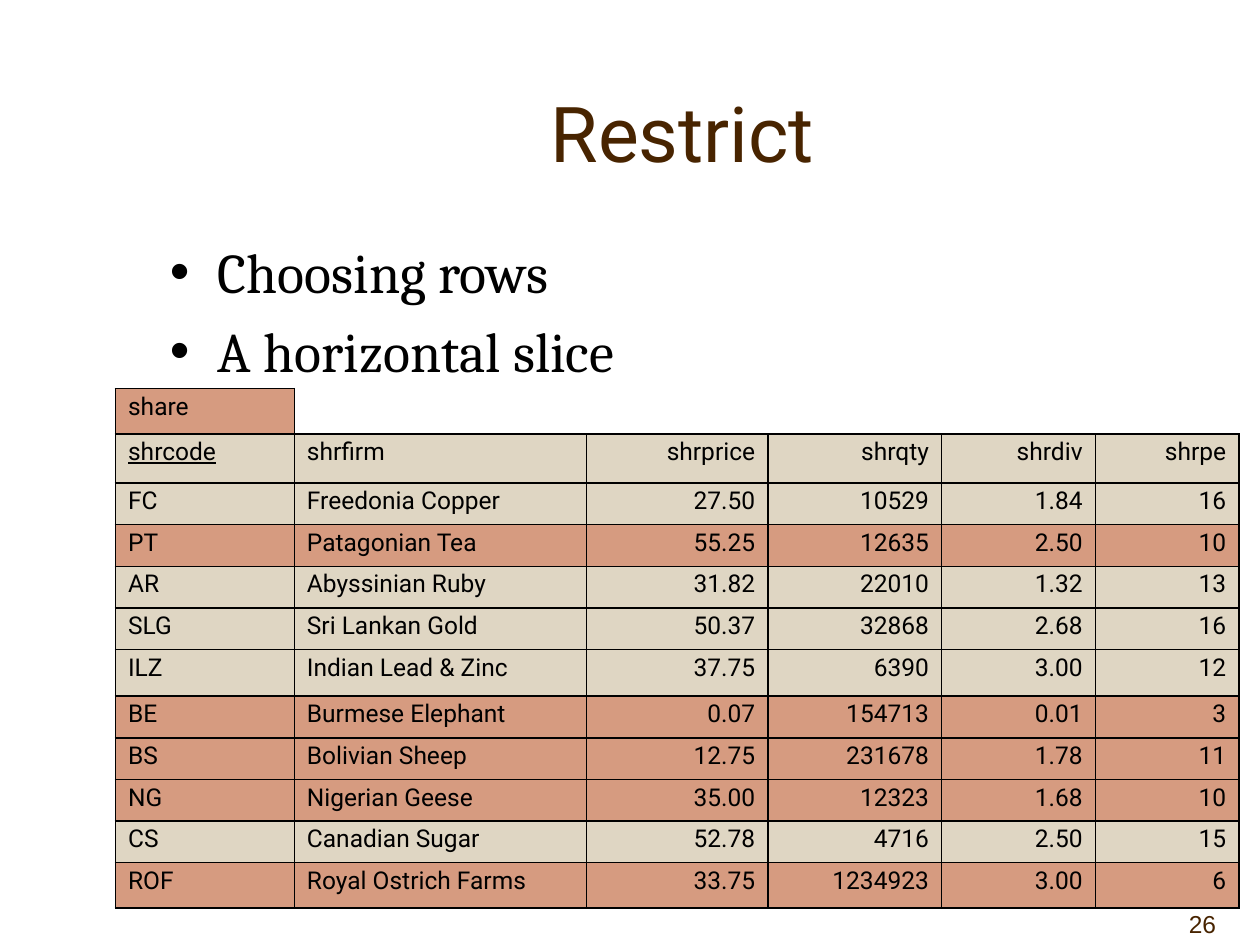
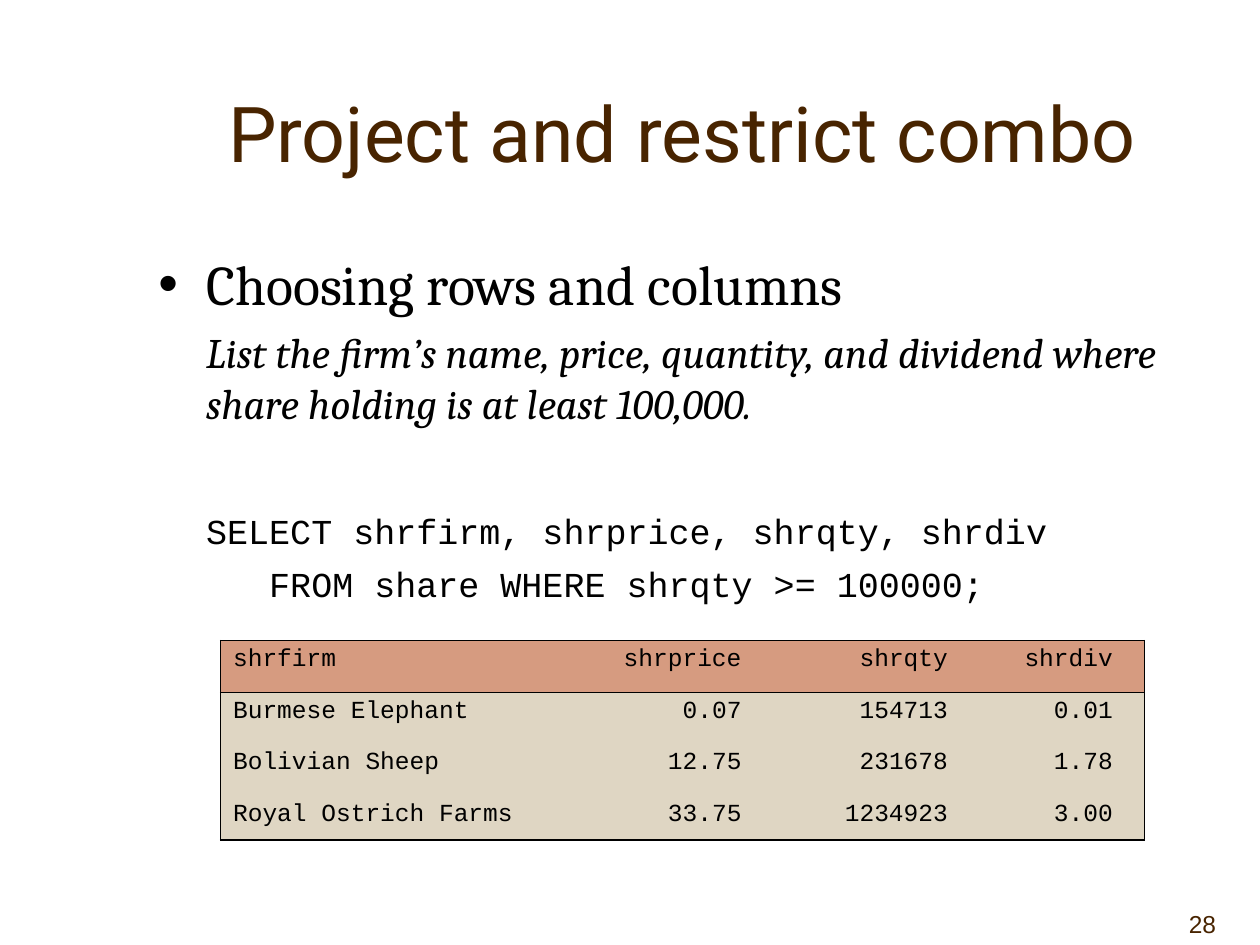
import dataclasses
import lxml.etree
import pptx
import pptx.dml.color
import pptx.enum.text
import pptx.oxml.ns
import pptx.util

ALIGN = pptx.enum.text.PP_ALIGN
ANCHOR = pptx.enum.text.MSO_ANCHOR
CELL = pptx.util.Inches(1 / 12)
GRID_COLUMNS, GRID_ROWS = 120, 90
BROWN, BLACK, CLAY, SAND = "482400", "000000", "D69B80", "DFD6C3"
HEADING_FONT, BODY_FONT, CODE_FONT, NUMBER_FONT = "Roboto", "Cambria", "Courier New", "Arial"
HANGING = pptx.util.Inches(0.38)
SIDES = {"left": "a:lnL", "right": "a:lnR", "top": "a:lnT", "bottom": "a:lnB"}

FIELDS = ["shrcode", "shrfirm", "shrprice", "shrqty", "shrdiv", "shrpe"]
SHARES = [
    ["FC", "Freedonia Copper", "27.50", "10529", "1.84", "16"],
    ["PT", "Patagonian Tea", "55.25", "12635", "2.50", "10"],
    ["AR", "Abyssinian Ruby", "31.82", "22010", "1.32", "13"],
    ["SLG", "Sri Lankan Gold", "50.37", "32868", "2.68", "16"],
    ["ILZ", "Indian Lead & Zinc", "37.75", "6390", "3.00", "12"],
    ["BE", "Burmese Elephant", "0.07", "154713", "0.01", "3"],
    ["BS", "Bolivian Sheep", "12.75", "231678", "1.78", "11"],
    ["NG", "Nigerian Geese", "35.00", "12323", "1.68", "10"],
    ["CS", "Canadian Sugar", "52.78", "4716", "2.50", "15"],
    ["ROF", "Royal Ostrich Farms", "33.75", "1234923", "3.00", "6"],
]


@dataclasses.dataclass
class Box:
    left: float
    top: float
    width: float
    height: float

    def lengths(self):
        return [round(value * CELL) for value in dataclasses.astuple(self)]


TITLE_BOX = Box(14, 5, 102, 15)
NUMBER_BOX = Box(102, 84, 15, 6)


def color(value):
    return pptx.dml.color.RGBColor.from_string(value)


def add_element(parent, tag, **attributes):
    element = lxml.etree.SubElement(parent, pptx.oxml.ns.qn(tag))
    for name, value in attributes.items():
        element.set(name, str(value))
    return element


def write(para, text, font=BODY_FONT, size=14, ink=BLACK, align=ALIGN.LEFT,
          before=0, spacing=None, italic=False, underline=False):
    para.alignment = align
    para.space_before = pptx.util.Pt(before)
    para.line_spacing = spacing
    span = para.add_run()
    span.text = text
    span.font.name = font
    span.font.size = pptx.util.Pt(size)
    span.font.color.rgb = color(ink)
    span.font.italic = italic
    span.font.underline = underline


def indent(para, bullet):
    properties = para._p.get_or_add_pPr()
    properties.set("marL", str(HANGING))
    properties.set("indent", str(-HANGING if bullet else 0))
    if bullet:
        add_element(properties, "a:buFont", typeface="Arial")
        add_element(properties, "a:buChar", char="•")
    else:
        add_element(properties, "a:buNone")


def add_title(page, box, text):
    title = page.shapes.title
    title.left, title.top, title.width, title.height = box.lengths()
    title.text_frame.vertical_anchor = ANCHOR.MIDDLE
    title.text_frame.auto_size = pptx.enum.text.MSO_AUTO_SIZE.NONE
    write(title.text_frame.paragraphs[0], text, font=HEADING_FONT, size=44,
          ink=BROWN, align=ALIGN.CENTER)


def add_text_frame(page, box, anchor=ANCHOR.TOP):
    frame = page.shapes.add_textbox(*box.lengths()).text_frame
    frame.word_wrap = True
    frame.vertical_anchor = anchor
    return frame


def add_page_number(page, box, number):
    frame = add_text_frame(page, box, ANCHOR.BOTTOM)
    write(frame.paragraphs[0], str(number), font=NUMBER_FONT, ink=BROWN, align=ALIGN.RIGHT)


def add_body(page, box, lines):
    frame = add_text_frame(page, box)
    for index, (text, bullet, style) in enumerate(lines):
        para = frame.add_paragraph() if index else frame.paragraphs[0]
        indent(para, bullet)
        write(para, text, **style)


def draw_borders(cell, sides):
    properties = cell._tc.get_or_add_tcPr()
    for position, (side, tag) in enumerate(SIDES.items()):
        shown = side in sides
        line = add_element(properties, tag, w=pptx.util.Pt(1 if shown else 0))
        if shown:
            add_element(add_element(line, "a:solidFill"), "a:srgbClr", val=BLACK)
        else:
            add_element(line, "a:noFill")
        properties.insert(position, line)


def fill_cell(cell, text, fill, **style):
    cell.fill.solid()
    cell.fill.fore_color.rgb = color(fill)
    write(cell.text_frame.paragraphs[0], text, spacing=0.88, **style)


def add_table(page, box, widths, heights):
    left, top, width, height = box.lengths()
    table = page.shapes.add_table(len(heights), len(widths), left, top, width, height).table
    table.first_row = table.horz_banding = False
    for column, share in zip(table.columns, widths):
        column.width = round(width * share / sum(widths))
    for row, share in zip(table.rows, heights):
        row.height = round(height * share / sum(heights))
    return table


def add_share_table(page, box):
    table = add_table(page, box, [1.42, 2.32, 1.44, 1.38, 1.22, 1.14],
                      [0.36, 0.39] + [0.33] * 4 + [0.37] + [0.33] * 4 + [0.36])
    fill_cell(table.cell(0, 0), "share", CLAY, font=HEADING_FONT)
    draw_borders(table.cell(0, 0), SIDES)
    for column in range(1, len(FIELDS)):
        blank = table.cell(0, column)
        blank.margin_top = blank.margin_bottom = 0
        blank.fill.background()
        draw_borders(blank, ["left", "bottom"] if column == 1 else ["bottom"])
    table.cell(0, 1).merge(table.cell(0, len(FIELDS) - 1))
    for row, record in enumerate([FIELDS] + SHARES, start=1):
        chosen = record is not FIELDS and int(record[5]) < 12
        for column, text in enumerate(record):
            cell = table.cell(row, column)
            fill_cell(cell, text, CLAY if chosen else SAND, font=HEADING_FONT,
                      align=ALIGN.RIGHT if column > 1 else ALIGN.LEFT,
                      underline=text == "shrcode")
            draw_borders(cell, SIDES)


def add_result_table(page, box):
    records = [FIELDS[1:5]] + [share[1:5] for share in SHARES if int(share[3]) >= 100000]
    table = add_table(page, box, [2.82, 1.57, 1.64, 1.31], [0.41, 0.41, 0.41, 0.35])
    last_row, last_column = len(records) - 1, len(records[0]) - 1
    for row, record in enumerate(records):
        for column, text in enumerate(record):
            cell = table.cell(row, column)
            if column:
                cell.margin_right = pptx.util.Inches(0.25)
            fill_cell(cell, text, SAND if row else CLAY, font=CODE_FONT,
                      align=ALIGN.RIGHT if column else ALIGN.LEFT)
            edges = {"left": column == 0, "right": column == last_column,
                     "top": row in (0, 1), "bottom": row in (0, last_row)}
            draw_borders(cell, [side for side, shown in edges.items() if shown])


def add_page(deck, title, number):
    page = deck.slides.add_slide(deck.slide_layouts[5])
    add_page_number(page, NUMBER_BOX, number)
    add_title(page, TITLE_BOX, title)
    return page


def add_restrict_page(deck):
    page = add_page(deck, "Restrict", 26)
    add_body(page, Box(15, 22, 102, 52), [
        ("Choosing rows", True, dict(size=32)),
        ("A horizontal slice", True, dict(size=32, before=7)),
    ])
    add_share_table(page, Box(11, 37, 107, 49.5))


def add_combo_page(deck):
    page = add_page(deck, "Project and restrict combo", 28)
    add_body(page, Box(13.9, 23.2, 102, 35.8), [
        ("Choosing rows and columns", True, dict(size=32)),
        ("List the firm’s name, price, quantity, and dividend where share holding "
         "is at least 100,000.", False, dict(size=24, before=5.5, italic=True)),
        ("SELECT shrfirm, shrprice, shrqty, shrdiv", False,
         dict(font=CODE_FONT, size=20, before=47)),
        ("   FROM share WHERE shrqty >= 100000;", False,
         dict(font=CODE_FONT, size=20, before=6)),
    ])
    add_result_table(page, Box(21, 61, 88, 19))


def main():
    deck = pptx.Presentation()
    deck.slide_width = GRID_COLUMNS * CELL
    deck.slide_height = GRID_ROWS * CELL
    add_restrict_page(deck)
    add_combo_page(deck)
    deck.save("out.pptx")


if __name__ == "__main__":
    main()
